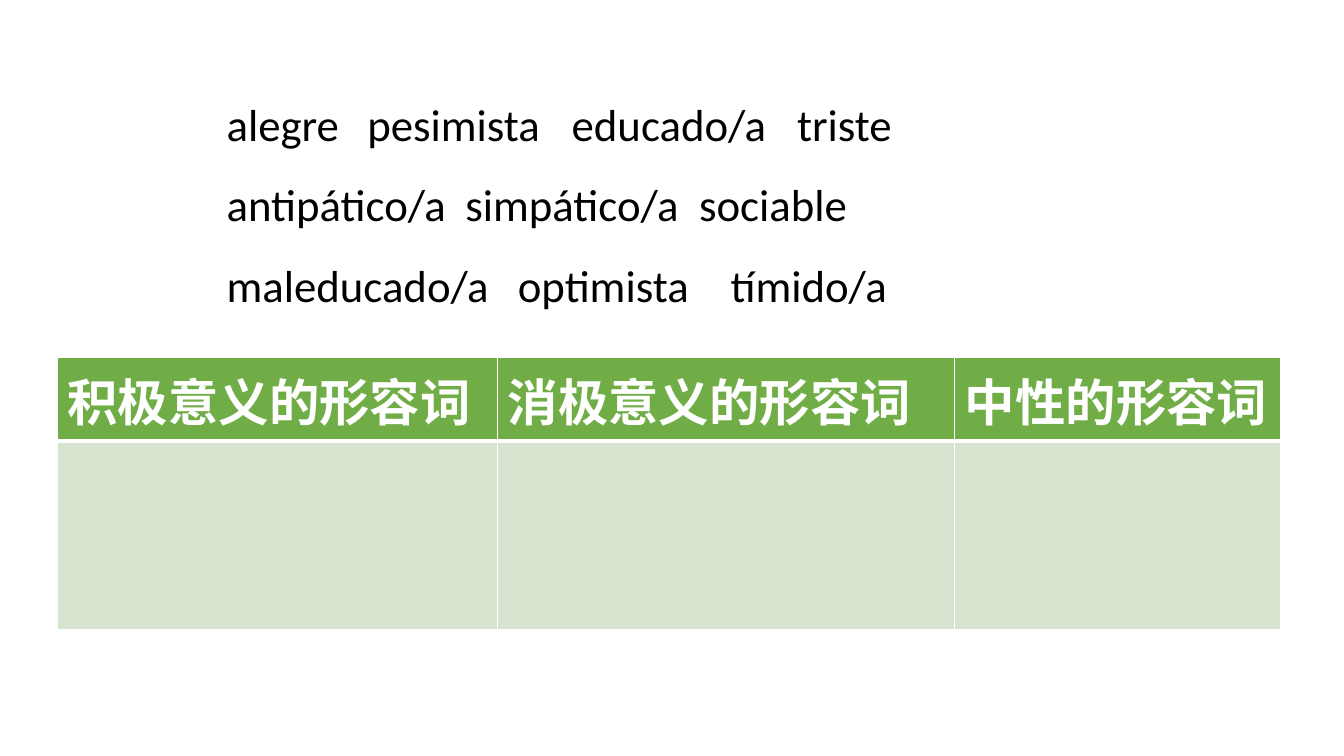
from lxml import etree
from pptx import Presentation
from pptx.dml.color import RGBColor
from pptx.enum.text import MSO_AUTO_SIZE
from pptx.oxml.ns import qn
from pptx.util import Pt

FIT = MSO_AUTO_SIZE.SHAPE_TO_FIT_TEXT
FONT = "Calibri"
COLORS = {"ink": "000000", "line": "FFFFFF", "head": "70AD47", "body": "D5E3CF"}

# Each line: its words, then the tab stops of the words after the first
LINES = [
    (["alegre", "pesimista", "educado/a", "triste"], [100.5, 246.5, 407.5]),
    (["antipático/a", "simpático/a", "sociable"], [170.5, 337.5]),
    (["maleducado/a", "optimista", "tímido/a"], [208, 360]),
]
HEADS = ["积极意义的形容词", "消极意义的形容词", "中性的形容词"]
WIDTHS = [314.5, 326.6, 232.4]
HEIGHTS = [59, 134.5]


def style(para, size, color, bold=False):
    font = para.font
    font.name, font.size, font.bold = FONT, Pt(size), bold
    font.color.rgb = RGBColor.from_string(COLORS[color])


def add_tabs(para, stops):
    tabs = etree.SubElement(para._p.get_or_add_pPr(), qn("a:tabLst"))
    for stop in stops:
        etree.SubElement(tabs, qn("a:tab"), pos=str(Pt(stop)), algn="l")


def add_words(slide):
    box = slide.shapes.add_textbox(Pt(154.8), Pt(46), Pt(638.6), Pt(177))
    frame = box.text_frame
    frame.word_wrap = True
    frame.auto_size = FIT
    for i, (words, stops) in enumerate(LINES):
        para = frame.add_paragraph() if i else frame.paragraphs[0]
        para.text = "\t".join(words)
        add_tabs(para, stops)
        para.line_spacing = 1.5
        style(para, 32, "ink")


def add_edges(cell, sides):
    """Draw cell borders from a dict of side letter to line width."""
    props = cell._tc.get_or_add_tcPr()
    for side, width in sides.items():
        line = etree.SubElement(props, qn("a:ln" + side), w=str(Pt(width)))
        fill = etree.SubElement(line, qn("a:solidFill"))
        etree.SubElement(fill, qn("a:srgbClr"), val=COLORS["line"])


def add_grid(slide):
    frame = slide.shapes.add_table(len(HEIGHTS), len(WIDTHS), Pt(41), Pt(255.6),
                                   Pt(sum(WIDTHS)), Pt(sum(HEIGHTS)))
    table = frame.table
    table.horz_banding = False
    for row, height in zip(table.rows, HEIGHTS):
        row.height = Pt(height)
    for c, (head, width) in enumerate(zip(HEADS, WIDTHS)):
        table.columns[c].width = Pt(width)
        top, body = table.cell(0, c), table.cell(1, c)
        add_edges(top, {"L": 1, "R": 1, "T": 1, "B": 3})
        add_edges(body, {"L": 1, "R": 1, "T": 3, "B": 1})
        for cell, color in ((top, "head"), (body, "body")):
            cell.fill.solid()
            cell.fill.fore_color.rgb = RGBColor.from_string(COLORS[color])
        top.text = head
        style(top.text_frame.paragraphs[0], 36, "line", True)


def main():
    deck = Presentation()
    deck.slide_width, deck.slide_height = Pt(960), Pt(540)
    slide = deck.slides.add_slide(deck.slide_layouts[6])
    add_grid(slide)
    add_words(slide)
    deck.save("out.pptx")


if __name__ == "__main__":
    main()
